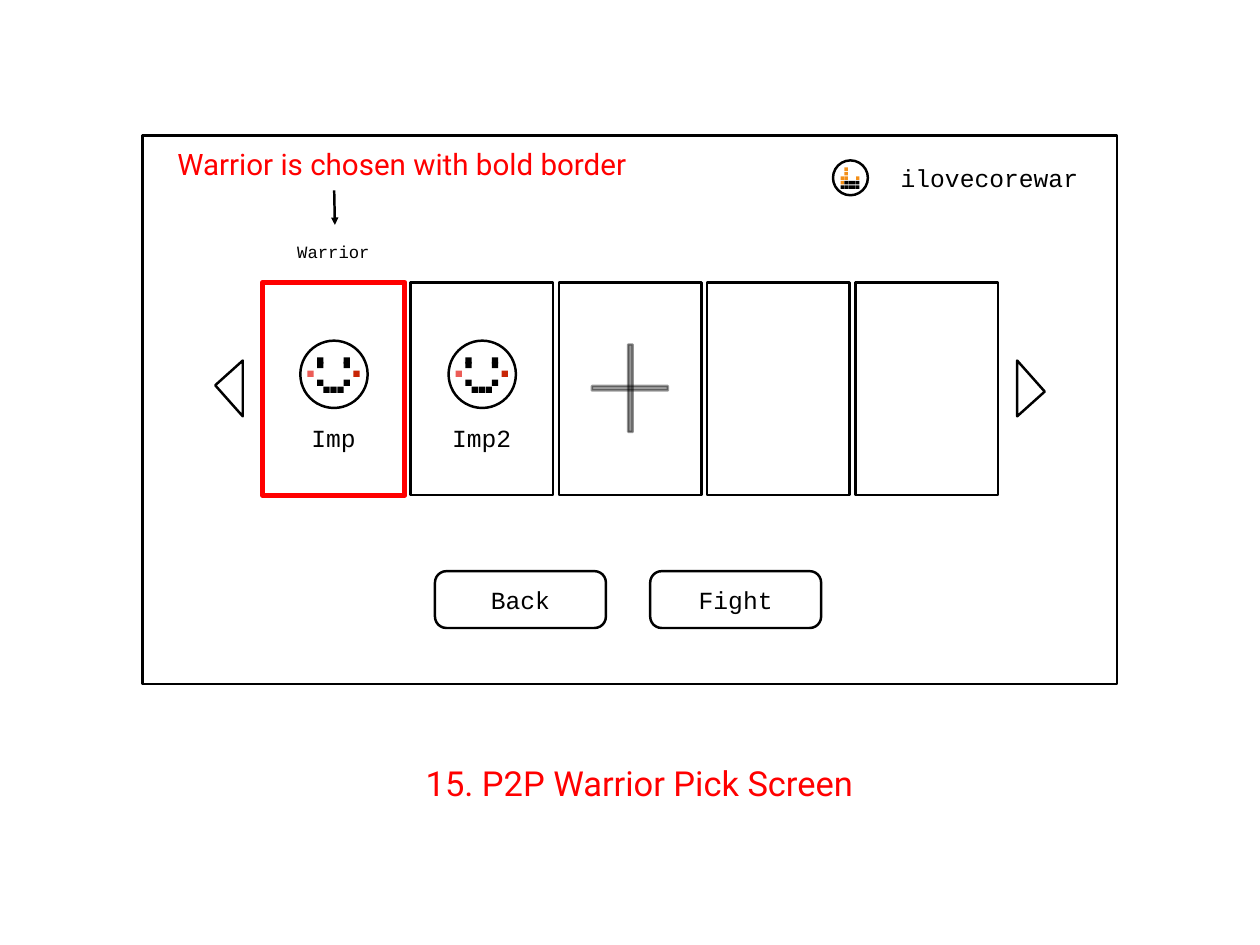
from lxml import etree
from pptx import Presentation
from pptx import util as u
from pptx.dml.color import RGBColor
from pptx.enum import shapes, text
from pptx.oxml.ns import qn

COLORS = {
    "ink": "000000", "paper": "FFFFFF", "accent": "FF0000",
    "orange": "F38F18", "cheek_left": "EC5C57", "cheek_right": "C82506",
}
KINDS = shapes.MSO_SHAPE


class Wireframe:
    """Draws on one slide; all positions and sizes are in centimetres."""

    mono, sans = "Courier New", "Roboto"
    inset, line_width = 0.15, 2

    def __init__(self, slide):
        self.s = slide

    def color(self, name):
        return RGBColor.from_string(COLORS[name])

    def style(self, sp, fill, line, width, opacity=None):
        sp.shadow.inherit = False
        for paint, name in ((sp.fill, fill), (sp.line.fill, line)):
            if name is None:
                paint.background()
                continue
            paint.solid()
            paint.fore_color.rgb = self.color(name)
        if line:
            sp.line.width = u.Pt(width)
        if opacity:
            for clr in sp._element.spPr.iter(qn("a:srgbClr")):
                etree.SubElement(clr, qn("a:alpha"), val=str(opacity * 1000))

    def shape(self, kind, x, y, w, h, fill="paper", line="ink",
              width=line_width, opacity=None):
        sp = self.s.shapes.add_shape(kind, u.Cm(x), u.Cm(y), u.Cm(w), u.Cm(h))
        self.style(sp, fill, line, width, opacity)
        return sp

    def pixel(self, x, y, size, color):
        self.shape(KINDS.RECTANGLE, x, y, size, size, color, None)

    def polygon(self, points):
        start, *rest = [(u.Cm(x), u.Cm(y)) for x, y in points]
        builder = self.s.shapes.build_freeform(*start)
        builder.add_line_segments(rest, close=True)
        self.style(builder.convert_to_shape(), "paper", "ink", self.line_width)

    def label(self, words, x, y, w, h, size=20, font=mono, color="ink", wrap=False):
        sp = self.s.shapes.add_textbox(u.Cm(x), u.Cm(y), u.Cm(w), u.Cm(h))
        tf = sp.text_frame
        tf.margin_left = tf.margin_right = u.Cm(self.inset)
        tf.margin_top = tf.margin_bottom = u.Cm(self.inset)
        tf.vertical_anchor = text.MSO_ANCHOR.MIDDLE
        tf.word_wrap = wrap
        if not wrap:
            tf.auto_size = text.MSO_AUTO_SIZE.SHAPE_TO_FIT_TEXT
        p = tf.paragraphs[0]
        p.text = words
        p.alignment = text.PP_ALIGN.CENTER
        p.font.size = u.Pt(size)
        p.font.name = font
        p.font.color.rgb = self.color(color)

    def arrow(self, x1, y1, x2, y2):
        line = self.s.shapes.add_connector(
            shapes.MSO_CONNECTOR.STRAIGHT, u.Cm(x1), u.Cm(y1), u.Cm(x2), u.Cm(y2))
        line.line.color.rgb = self.color("ink")
        line.line.width = u.Pt(self.line_width)
        etree.SubElement(line.line._get_or_add_ln(), qn("a:tailEnd"), type="triangle")
        etree.SubElement(line._element.spPr, qn("a:effectLst"))

    def avatar(self, x, y):
        self.shape(KINDS.OVAL, x, y, 1, 1)
        rows = (" o   ", " o   ", "oo  o", "obbbb", "bbbbb")
        for row, cells in enumerate(rows):
            for col, cell in enumerate(cells):
                if cell != " ":
                    self.pixel(x + 0.22 + 0.11 * col, y + 0.2 + 0.13 * row, 0.1,
                               "orange" if cell == "o" else "ink")

    def face(self, x, y):
        self.shape(KINDS.OVAL, x, y, 1.93, 1.93)
        eyes_and_corners = [(dx, dy) for dx in (0.48, 1.24) for dy in (0.48, 0.61, 1.12)]
        mouth = [(dx, 1.32) for dx in (0.66, 0.86, 1.06)]
        for dx, dy in eyes_and_corners + mouth:
            self.pixel(x + dx, y + dy, 0.18, "ink")
        self.pixel(x + 0.2, y + 0.86, 0.18, "cheek_left")
        self.pixel(x + 1.52, y + 0.86, 0.18, "cheek_right")


def main():
    prs = Presentation()
    prs.slide_width, prs.slide_height = u.Cm(36.12), u.Cm(27.1)
    screen = Wireframe(prs.slides.add_slide(prs.slide_layouts[6]))

    # Screen frame and user
    screen.shape(KINDS.RECTANGLE, 4.09, 3.89, 27.94, 15.72, fill=None)
    screen.avatar(23.88, 4.6)
    screen.label("ilovecorewar", 25.15, 4.6, 6.43, 1)

    # Warrior cards, the first one chosen
    card_left, card_top, card_pitch = 7.52, 8.1, 4.25
    for i, name in enumerate(("Imp", "Imp2", None, None, None)):
        x = card_left + card_pitch * i
        border = ("accent", 4) if i == 0 else ("ink", 2)
        screen.shape(KINDS.RECTANGLE, x, card_top, 4.09, 6.1, "paper", *border)
        if name:
            screen.label(name, x - 1.34, card_top + 3.7, 6.76, 1.52, wrap=True)
            screen.face(x + 1.09, card_top + 1.67)

    # Plus sign on the third card
    screen.shape(KINDS.RECTANGLE, 16.97, 11.07, 2.18, 0.13, "ink", opacity=38)
    screen.shape(KINDS.RECTANGLE, 18.01, 9.88, 0.13, 2.51, "ink", opacity=41)

    # Scroll arrows
    screen.polygon([(6.96, 11.94), (6.17, 11.05), (6.96, 10.34)])
    screen.polygon([(29.16, 10.34), (29.95, 11.23), (29.16, 11.94)])

    # Buttons
    for caption, x, label_width in (("Back", 12.47, 2.36), ("Fight", 18.64, 2.87)):
        button = screen.shape(KINDS.ROUNDED_RECTANGLE, x, 16.38, 4.9, 1.63)
        button.adjustments[0] = 0.2
        screen.label(caption, x + (4.9 - label_width) / 2, 16.71, label_width, 1)

    # Annotations and title
    screen.label("Warrior", 8.15, 6.81, 2.82, 0.79, size=14)
    screen.label("Warrior is chosen with bold border", 4.75, 3.53, 13.54, 2.34,
                 24, screen.sans, "accent", wrap=True)
    screen.arrow(9.58, 5.46, 9.6, 6.45)
    screen.label("15. P2P Warrior Pick Screen", 11.91, 21.72, 12.83, 1.47,
                 28, screen.sans, "accent")

    prs.save("out.pptx")


if __name__ == "__main__":
    main()
